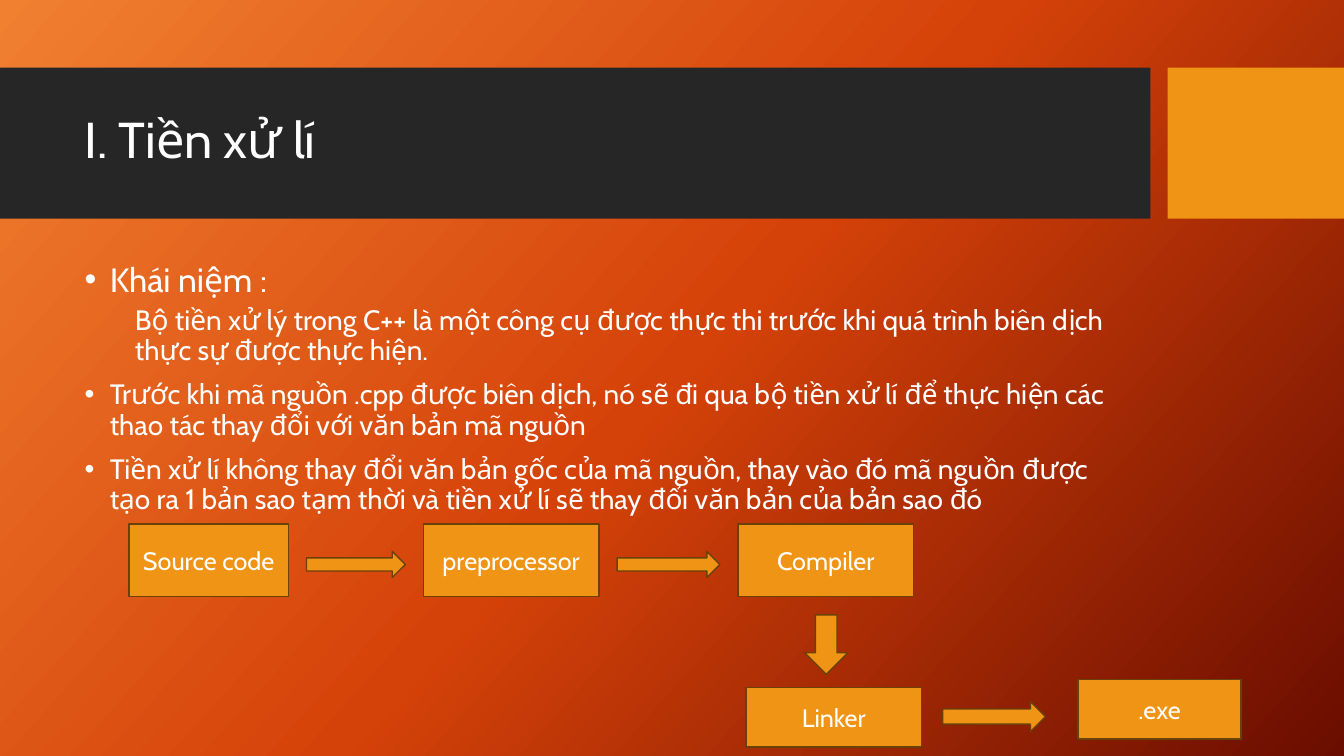
import pptx
import pptx.util
import pptx.dml.color
import pptx.enum.shapes
import pptx.enum.text
import pptx.oxml
import pptx.oxml.ns
from lxml import etree

Inches = pptx.util.Inches
Pt = pptx.util.Pt
SHAPE = pptx.enum.shapes.MSO_SHAPE
ALIGN = pptx.enum.text.PP_ALIGN
ANCHOR = pptx.enum.text.MSO_ANCHOR
qn = pptx.oxml.ns.qn

COLORS = {
    "band": "262626",
    "accent": "F09415",
    "outline": "694109",
    "text": "FFFFFF",
}
BACKGROUND_STOPS = [(0, "F18031"), (50, "D54209"), (100, "6A0D00")]


class SlideBuilder:
    """Holds the style and the current slide."""

    font = "Cabin"

    def __init__(self, page):
        """Keep the page to draw on."""
        self.page = page

    def color(self, name):
        """Return the named colour."""
        return pptx.dml.color.RGBColor.from_string(COLORS[name])

    def background(self, stops, angle):
        """Fill the page with a linear gradient running clockwise by angle."""
        fill = self.page.background.fill
        fill.gradient()
        fill.gradient_angle = 360 - angle
        stop_list = next(self.page.element.iter(qn("a:gsLst")))
        for stop in list(stop_list):
            stop_list.remove(stop)
        for position, value in stops:
            stop = etree.SubElement(stop_list, qn("a:gs"), pos=str(position * 1000))
            etree.SubElement(stop, qn("a:srgbClr"), val=value)

    def style(self, para, size):
        """Format the runs of a paragraph."""
        for span in para.runs:
            span.font.name = self.font
            span.font.size = Pt(size)
            span.font.color.rgb = self.color("text")

    def shape(self, kind, left, top, width, height, fill="accent", outlined=True, label=""):
        """Draw a preset shape with an optional centred label."""
        shape = self.page.shapes.add_shape(
            kind, Inches(left), Inches(top), Inches(width), Inches(height))
        shape.shadow.inherit = False
        shape.fill.solid()
        shape.fill.fore_color.rgb = self.color(fill)
        if outlined:
            shape.line.color.rgb = self.color("outline")
            shape.line.width = Pt(1)
        else:
            shape.line.fill.background()
        if label:
            shape.text_frame.text = label
            shape.text_frame.vertical_anchor = ANCHOR.MIDDLE
            para = shape.text_frame.paragraphs[0]
            para.alignment = ALIGN.CENTER
            self.style(para, 18)

    def text_box(self, left, top, width, height, anchor=ANCHOR.TOP):
        """Add a wrapping text box and return its text frame."""
        box = self.page.shapes.add_textbox(
            Inches(left), Inches(top), Inches(width), Inches(height))
        box.text_frame.word_wrap = True
        box.text_frame.vertical_anchor = anchor
        return box.text_frame

    def title(self, text, left, top, width, height):
        """Add the slide title."""
        para = self.text_box(left, top, width, height, ANCHOR.MIDDLE).paragraphs[0]
        para.text = text
        para.line_spacing = 0.9
        self.style(para, 36)

    def body(self, items, left, top, width, height):
        """Add body paragraphs given as (text, size, bulleted)."""
        frame = self.text_box(left, top, width, height)
        for index, (text, size, bulleted) in enumerate(items):
            para = frame.add_paragraph() if index else frame.paragraphs[0]
            para.text = text
            para.line_spacing = 0.9
            para.space_before = Pt(10 if bulleted else 5)
            self.style(para, size)
            properties = para._p.get_or_add_pPr()
            properties.set("marL", str(Inches(0.25 if bulleted else 0.5)))
            properties.set("indent", str(Inches(-0.25 if bulleted else 0)))
            if bulleted:
                etree.SubElement(properties, qn("a:buFont"), typeface="Arial")
                etree.SubElement(properties, qn("a:buChar"), char="•")
            else:
                etree.SubElement(properties, qn("a:buNone"))


BODY = [
    ("Khái niệm :", 24, True),
    ("Bộ tiền xử lý trong C++ là một công cụ được thực thi trước khi quá trình "
     "biên dịch thực sự được thực hiện.", 20, False),
    ("Trước khi mã nguồn .cpp được biên dịch, nó sẽ đi qua bộ tiền xử lí để thực "
     "hiện các thao tác thay đổi với văn bản mã nguồn", 20, True),
    ("Tiền xử lí không thay đổi văn bản gốc của mã nguồn, thay vào đó mã nguồn được "
     "tạo ra 1 bản sao tạm thời và tiền xử lí sẽ thay đổi văn bản của bản sao đó", 20, True),
]
STAGES = [
    ("Source code", 1.28, 5.2, 1.58, 0.72),
    ("preprocessor", 4.2, 5.2, 1.74, 0.72),
    ("Compiler", 7.32, 5.2, 1.74, 0.72),
    ("Linker", 7.4, 6.82, 1.74, 0.59),
    (".exe", 10.69, 6.74, 1.62, 0.59),
]
ARROWS = [
    (SHAPE.RIGHT_ARROW, 3.04, 5.47, 0.98, 0.26),
    (SHAPE.RIGHT_ARROW, 6.12, 5.47, 1.02, 0.26),
    (SHAPE.DOWN_ARROW, 7.98, 6.1, 0.43, 0.59),
    (SHAPE.RIGHT_ARROW, 9.35, 6.96, 1.02, 0.3),
]


def main():
    """Build and save the slide."""
    deck = pptx.Presentation()
    deck.slide_width = Inches(13.33)
    deck.slide_height = Inches(7.5)
    builder = SlideBuilder(deck.slides.add_slide(deck.slide_layouts[6]))

    builder.background(BACKGROUND_STOPS, 42)
    builder.shape(SHAPE.RECTANGLE, 0, 0.67, 11.41, 1.5, fill="band", outlined=False)
    builder.shape(SHAPE.RECTANGLE, 11.58, 0.67, 1.75, 1.5, outlined=False)
    builder.title("I. Tiền xử lí", 0.74, 0.82, 10.51, 1.18)
    builder.body(BODY, 0.74, 2.56, 10.51, 3.94)
    for label, *bounds in STAGES:
        builder.shape(SHAPE.RECTANGLE, *bounds, label=label)
    for kind, *bounds in ARROWS:
        builder.shape(kind, *bounds)

    deck.save("out.pptx")


main()
